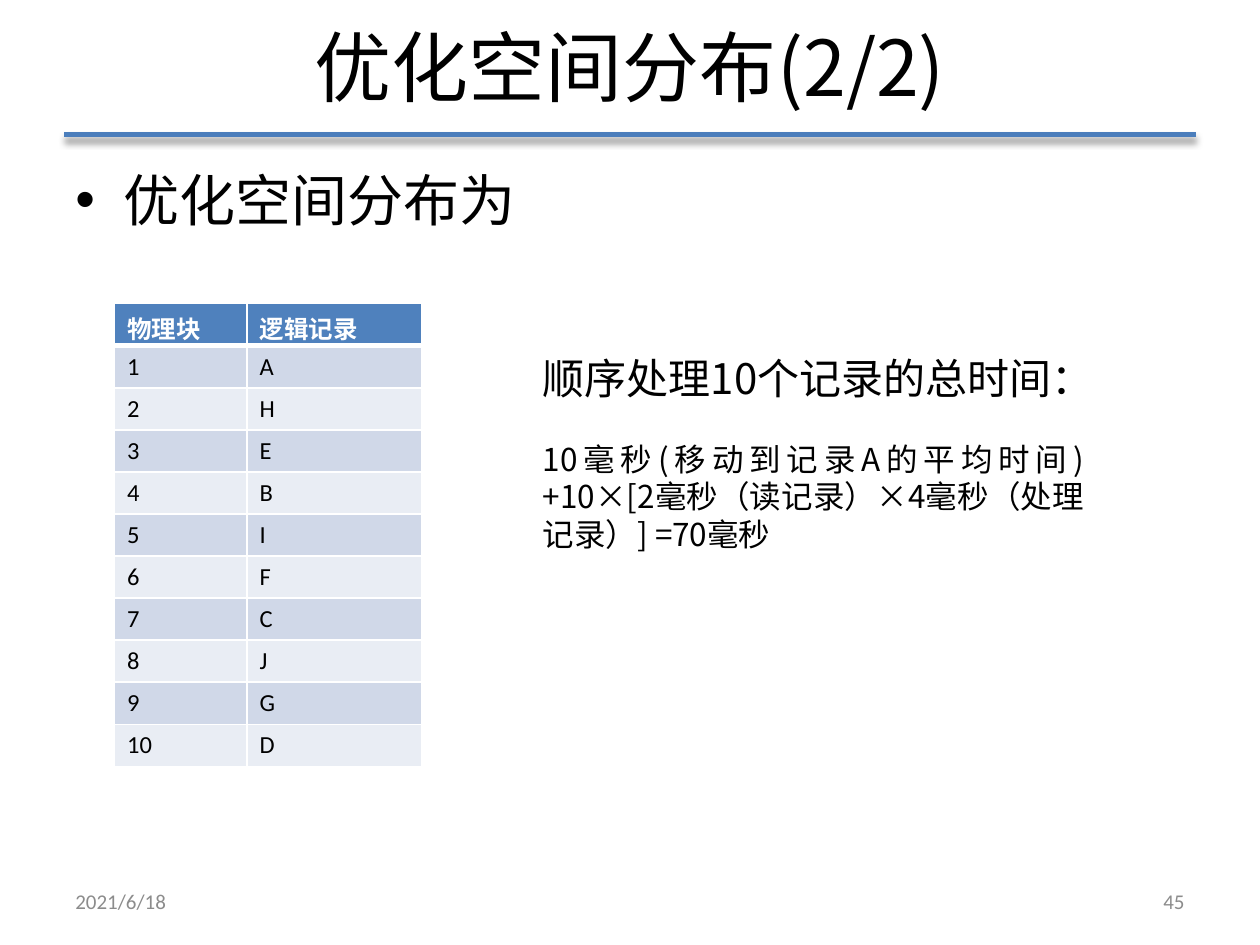
"""Build the slide on optimised record layout across physical blocks."""
from dataclasses import dataclass
from typing import Optional

from lxml import etree
from pptx import Presentation
from pptx.dml.color import RGBColor
from pptx.enum.shapes import MSO_CONNECTOR
from pptx.enum.text import MSO_ANCHOR, PP_ALIGN
from pptx.oxml import parse_xml
from pptx.oxml.ns import nsdecls, qn
from pptx.util import Inches, Pt

LEFT, CENTER, RIGHT, JUSTIFY = PP_ALIGN.LEFT, PP_ALIGN.CENTER, PP_ALIGN.RIGHT, PP_ALIGN.JUSTIFY
TOP, MIDDLE = MSO_ANCHOR.TOP, MSO_ANCHOR.MIDDLE
STRAIGHT = MSO_CONNECTOR.STRAIGHT
TITLE_ONLY = 5


@dataclass(frozen=True)
class Theme:
    """Fonts, colours and type sizes of the slide."""
    cjk: str = "Noto Sans CJK JP"
    latin: str = "Calibri"
    ink: str = "000000"
    paper: str = "FFFFFF"
    muted: str = "8C8C8C"
    rule: str = "4B7EBC"
    header: str = "4F81BD"
    bands: tuple = ("D0D8E8", "E9EDF4")
    title: int = 44
    body: int = 32
    lead: int = 24
    detail: int = 18
    cell: int = 14
    footer: int = 12


@dataclass(frozen=True)
class Box:
    """Position and size in inches."""
    left: float
    top: float
    width: float
    height: float

    def lengths(self) -> tuple:
        """Return the four values as lengths."""
        return tuple(Inches(v) for v in (self.left, self.top, self.width, self.height))


@dataclass(frozen=True)
class Footer:
    """A footer text with its place and alignment."""
    text: str
    left: float
    align: PP_ALIGN


THEME = Theme()
TITLE_BOX = Box(0.5, -0.03, 9, 1.1)
BODY_BOX = Box(0.5, 1.23, 9, 5.47)
TIME_BOX = Box(4.21, 2.73, 4.49, 2.93)
TABLE_BOX = Box(0.91, 2.41, 2.44, 3.41)
COLUMNS = (1.05, 1.39)
HEADINGS = ("物理块", "逻辑记录")
RECORDS = "AHEBIFCJGD"
FOOTERS = (Footer("2021/6/18", 0.5, LEFT), Footer("45", 7.17, RIGHT))


def write(para, text: str, *, size: int, font: str = THEME.cjk, color: str = THEME.ink,
          bold: bool = False, align: PP_ALIGN = LEFT, line: Optional[float] = None,
          before: float = 0) -> None:
    """Add a formatted span to a paragraph."""
    para.alignment = align
    para.space_before = Pt(before)
    if line:
        para.line_spacing = Pt(line)
    span = para.add_run()
    span.text = text
    span.font.size = Pt(size)
    span.font.bold = bold
    span.font.color.rgb = RGBColor.from_string(color)
    span.font.name = font
    etree.SubElement(span.font._element, qn("a:ea"), typeface=THEME.cjk)


def add_box(page, box: Box, anchor: MSO_ANCHOR = TOP):
    """Add a wrapping text box and return its text frame."""
    frame = page.shapes.add_textbox(*box.lengths()).text_frame
    frame.word_wrap = True
    frame.vertical_anchor = anchor
    return frame


def add_bullet(para) -> None:
    """Give a paragraph a hanging round bullet."""
    properties = para._p.get_or_add_pPr()
    properties.set("marL", str(Inches(0.38)))
    properties.set("indent", str(-Inches(0.38)))
    etree.SubElement(properties, qn("a:buFont"), typeface="Arial")
    etree.SubElement(properties, qn("a:buChar"), char="•")


def add_rule(page) -> None:
    """Draw the shadowed line below the title."""
    rule = page.shapes.add_connector(
        STRAIGHT, Inches(0.51), Inches(1.07), Inches(9.49), Inches(1.07))
    rule.line.color.rgb = RGBColor.from_string(THEME.rule)
    rule.line.width = Pt(3)
    rule._element.spPr.append(parse_xml(
        f'<a:effectLst {nsdecls("a")}><a:outerShdw blurRad="{Pt(4)}" dist="{Pt(3)}" '
        'dir="5400000" rotWithShape="0"><a:srgbClr val="000000"><a:alpha val="40000"/>'
        '</a:srgbClr></a:outerShdw></a:effectLst>'))


def style_cell(cell, fill: str, top: int, bottom: int) -> None:
    """Fill a cell and draw its borders."""
    cell.fill.solid()
    cell.fill.fore_color.rgb = RGBColor.from_string(fill)
    widths = {"lnL": 1, "lnR": 1, "lnT": top, "lnB": bottom}
    for index, (side, width) in enumerate(widths.items()):
        cell._tc.get_or_add_tcPr().insert(index, parse_xml(
            f'<a:{side} {nsdecls("a")} w="{Pt(width)}"><a:solidFill>'
            f'<a:srgbClr val="{THEME.paper}"/></a:solidFill></a:{side}>'))


def add_records(page) -> None:
    """Add the table of blocks and records."""
    rows = [HEADINGS] + [(str(block), name) for block, name in enumerate(RECORDS, 1)]
    table = page.shapes.add_table(len(rows), len(COLUMNS), *TABLE_BOX.lengths()).table
    for column, width in zip(table.columns, COLUMNS):
        column.width = Inches(width)
    for row, values in enumerate(rows):
        heading = row == 0
        fill = THEME.header if heading else THEME.bands[(row - 1) % 2]
        for column, value in enumerate(values):
            cell = table.cell(row, column)
            style_cell(cell, fill, 3 if row == 1 else 1, 3 if heading else 1)
            write(cell.text_frame.paragraphs[0], value, size=THEME.cell, font=THEME.latin,
                  color=THEME.paper if heading else THEME.ink, bold=heading)


def main() -> None:
    """Build and save the deck."""
    deck = Presentation()
    deck.slide_width, deck.slide_height = Inches(10), Inches(7.5)
    page = deck.slides.add_slide(deck.slide_layouts[TITLE_ONLY])
    add_rule(page)

    title = page.shapes.title
    title.left, title.top, title.width, title.height = TITLE_BOX.lengths()
    title.text_frame.vertical_anchor = MIDDLE
    write(title.text_frame.paragraphs[0], "优化空间分布(2/2)", size=THEME.title, align=CENTER)

    para = add_box(page, BODY_BOX).paragraphs[0]
    write(para, "优化空间分布为", size=THEME.body, line=41)
    add_bullet(para)

    for footer in FOOTERS:
        frame = add_box(page, Box(footer.left, 6.95, 2.33, 0.4), MIDDLE)
        write(frame.paragraphs[0], footer.text, size=THEME.footer, font=THEME.latin,
              color=THEME.muted, align=footer.align)

    add_records(page)

    frame = add_box(page, TIME_BOX)
    write(frame.paragraphs[0], "顺序处理10个记录的总时间：", size=THEME.lead, line=30)
    write(frame.add_paragraph(),
          "10毫秒(移动到记录A的平均时间)+10×[2毫秒（读记录）×4毫秒（处理记录）] =70毫秒",
          size=THEME.detail, align=JUSTIFY, line=21.4, before=21.5)
    deck.save("out.pptx")


if __name__ == "__main__":
    main()
